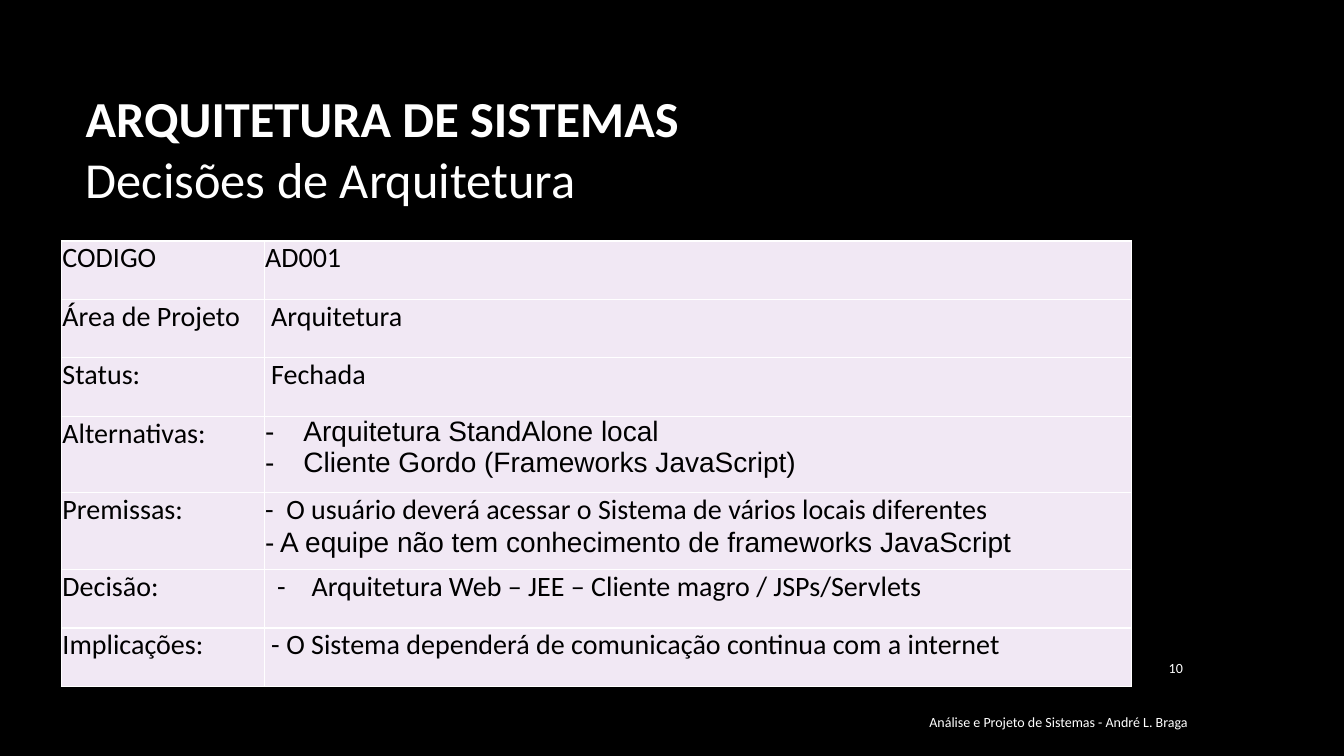
from dataclasses import dataclass

from lxml import etree
from pptx import Presentation
from pptx.dml.color import RGBColor
from pptx.enum.text import MSO_ANCHOR, PP_ALIGN
from pptx.oxml.ns import qn
from pptx.util import Emu, Pt

PX = 9144  # 100 px to the inch
BLACK = RGBColor(0x00, 0x00, 0x00)
WHITE = RGBColor(0xFF, 0xFF, 0xFF)
LILAC = RGBColor(0xF1, 0xE8, 0xF4)
BODY_FONT = "Calibri"
ALT_FONT = "Arial"
MIDDLE = MSO_ANCHOR.MIDDLE
LEFT, RIGHT = PP_ALIGN.LEFT, PP_ALIGN.RIGHT
TITLE_ONLY = 5
COLUMN_WIDTHS = (201, 860)
LINE_HEIGHTS = {1: 58, 2: 76}  # row height by number of lines


@dataclass(frozen=True)
class Line:
    text: str
    left: int = 1
    hang: int = 0  # distance from dash to text; 0 means no dash
    font: str = BODY_FONT


@dataclass(frozen=True)
class Decision:
    label: str
    lines: tuple[Line, ...]


@dataclass(frozen=True)
class Note:
    text: str
    x: int
    y: int
    w: int
    h: int
    align: PP_ALIGN


DECISIONS = (
    Decision("CODIGO", (Line("AD001"),)),
    Decision("Área de Projeto", (Line("Arquitetura", 7),)),
    Decision("Status:", (Line("Fechada", 7),)),
    Decision("Alternativas:", (
        Line("Arquitetura StandAlone local", 39, 38, ALT_FONT),
        Line("Cliente Gordo (Frameworks JavaScript)", 39, 38, ALT_FONT),
    )),
    Decision("Premissas:", (
        Line("O usuário deverá acessar o Sistema de vários locais diferentes", 22, 21),
        Line("A equipe não tem conhecimento de frameworks JavaScript", 16, 15, ALT_FONT),
    )),
    Decision("Decisão:", (
        Line("Arquitetura Web – JEE – Cliente magro / JSPs/Servlets", 47, 34),
    )),
    Decision("Implicações:", (
        Line("O Sistema dependerá de comunicação continua com a internet", 22, 15),
    )),
)

NOTES = (
    Note("Análise e Projeto de Sistemas - André L. Braga", 912, 696, 400, 41, LEFT),
    Note("10", 1123, 642, 60, 41, RIGHT),
)


def px(n: int) -> Emu:
    return Emu(n * PX)


def format_run(r, size: int, color: RGBColor, font: str = BODY_FONT) -> None:
    r.font.size = Pt(size)
    r.font.name = font
    r.font.color.rgb = color


def add_title(s) -> None:
    sp = s.shapes.title
    sp.left, sp.top, sp.width, sp.height = px(75), px(67), px(1108), px(159)
    tf = sp.text_frame
    tf.vertical_anchor = MIDDLE
    tf.text = "ARQUITETURA DE SISTEMAS\vDecisões de Arquitetura"
    p = tf.paragraphs[0]
    p.alignment = LEFT
    for r, bold in zip(p.runs, (True, False)):
        format_run(r, 36, WHITE)
        r.font.bold = bold
    line_break = p.runs[0]._r.getnext()
    etree.SubElement(line_break, qn("a:rPr"), sz="3600")


def add_note(s, note: Note) -> None:
    sp = s.shapes.add_textbox(px(note.x), px(note.y), px(note.w), px(note.h))
    tf = sp.text_frame
    tf.word_wrap = True
    tf.vertical_anchor = MIDDLE
    tf.text = note.text
    p = tf.paragraphs[0]
    p.alignment = note.align
    format_run(p.runs[0], 10, WHITE)


def add_borders(cell) -> None:
    tc_pr = cell._tc.get_or_add_tcPr()
    for side in ("lnL", "lnR", "lnT", "lnB"):
        ln = etree.SubElement(tc_pr, qn(f"a:{side}"), w=str(Pt(1)))
        fill = etree.SubElement(ln, qn("a:solidFill"))
        etree.SubElement(fill, qn("a:srgbClr"), val=str(WHITE))


def set_indent(p, line: Line) -> None:
    p_pr = p._p.get_or_add_pPr()
    p_pr.set("marL", str(px(line.left)))
    p_pr.set("indent", str(px(-line.hang)))
    if line.hang:
        etree.SubElement(p_pr, qn("a:buFont"), typeface=line.font)
        etree.SubElement(p_pr, qn("a:buChar"), char="-")


def fill_cell(cell, lines: tuple[Line, ...]) -> None:
    cell.margin_left = cell.margin_right = cell.margin_top = cell.margin_bottom = 0
    add_borders(cell)
    cell.fill.solid()
    cell.fill.fore_color.rgb = LILAC
    tf = cell.text_frame
    tf.text = "\n".join(line.text for line in lines)
    for p, line in zip(tf.paragraphs, lines):
        set_indent(p, line)
        format_run(p.runs[0], 20, BLACK, line.font)


def add_decision_table(s) -> None:
    heights = [LINE_HEIGHTS[len(d.lines)] for d in DECISIONS]
    table = s.shapes.add_table(
        len(DECISIONS), len(COLUMN_WIDTHS),
        px(61), px(239), px(sum(COLUMN_WIDTHS)), px(sum(heights)),
    ).table
    table.first_row = table.horz_banding = False
    for column, width in zip(table.columns, COLUMN_WIDTHS):
        column.width = px(width)
    for i, (decision, height) in enumerate(zip(DECISIONS, heights)):
        table.rows[i].height = px(height)
        fill_cell(table.cell(i, 0), (Line(decision.label),))
        fill_cell(table.cell(i, 1), decision.lines)


def main() -> None:
    prs = Presentation()
    prs.slide_width, prs.slide_height = px(1333), px(750)
    s = prs.slides.add_slide(prs.slide_layouts[TITLE_ONLY])
    s.background.fill.solid()
    s.background.fill.fore_color.rgb = BLACK
    add_title(s)
    for note in NOTES:
        add_note(s, note)
    add_decision_table(s)
    prs.save("out.pptx")


if __name__ == "__main__":
    main()
